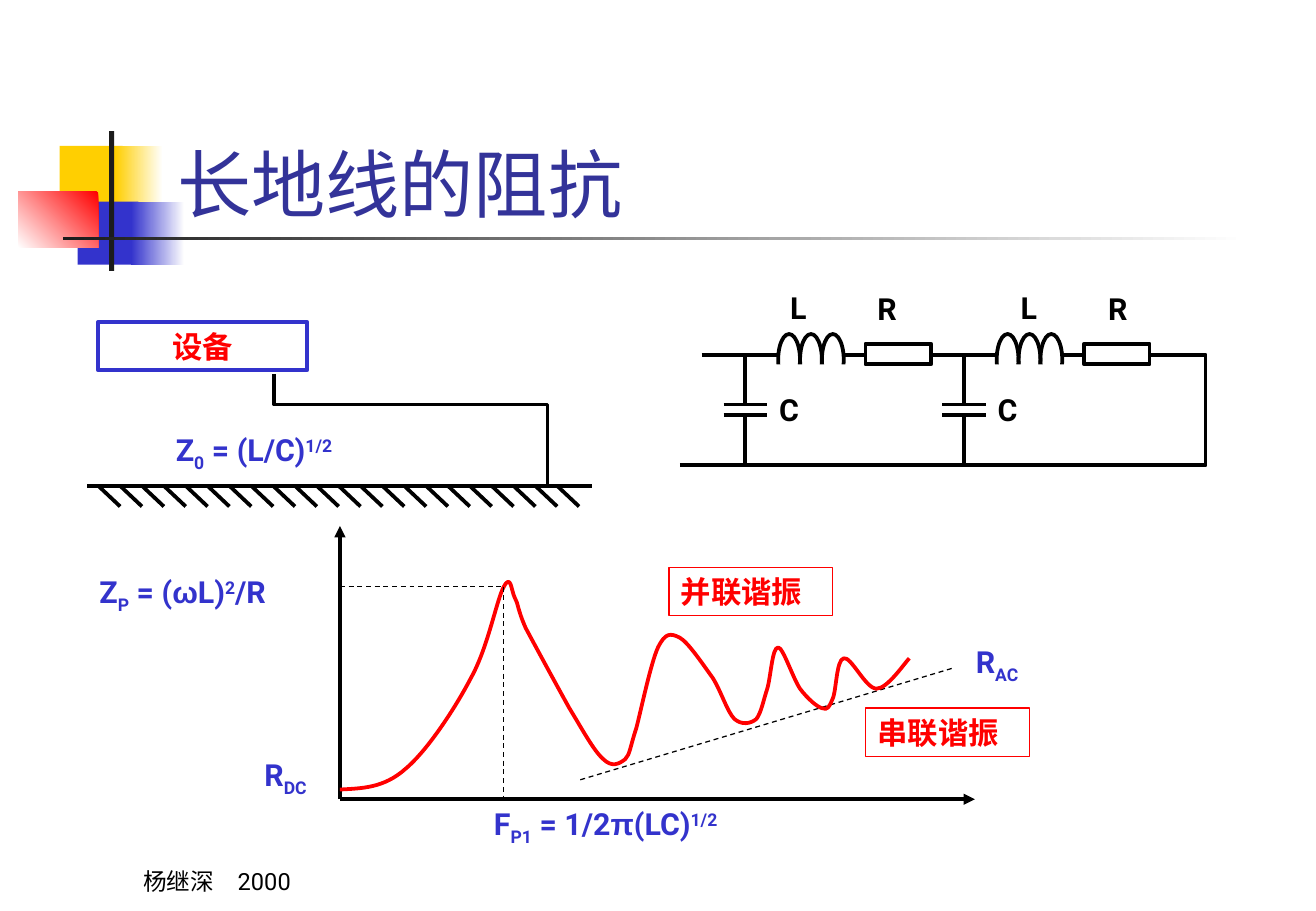
import dataclasses

import lxml.etree
import pptx
import pptx.dml.color
import pptx.enum.dml
import pptx.enum.shapes
import pptx.enum.text
import pptx.oxml.ns
import pptx.util

PX = 9144
BLACK = pptx.dml.color.RGBColor(0x00, 0x00, 0x00)
WHITE = pptx.dml.color.RGBColor(0xFF, 0xFF, 0xFF)
RED = pptx.dml.color.RGBColor(0xFF, 0x00, 0x00)
BLUE = pptx.dml.color.RGBColor(0x33, 0x33, 0xCC)
NAVY = pptx.dml.color.RGBColor(0x33, 0x33, 0x99)
YELLOW = pptx.dml.color.RGBColor(0xFF, 0xCF, 0x01)
CHARCOAL = pptx.dml.color.RGBColor(0x1C, 0x1C, 0x1C)
THICK, THIN = 2.25, 0.75
SUB, SUPER = -25, 30
RECT = pptx.enum.shapes.MSO_SHAPE.RECTANGLE
OVAL = pptx.enum.shapes.MSO_SHAPE.OVAL
ALIGN = pptx.enum.text.PP_ALIGN
ANCHOR = pptx.enum.text.MSO_ANCHOR
qn = pptx.oxml.ns.qn

RESONANCE_START = (0, 217)
RESONANCE_CURVE = [
    (18, 216), (36, 216), (54, 200), (72, 185), (95, 150), (108, 125),
    (122, 100), (129, 61), (135, 50), (141, 39), (141, 53), (144, 59),
    (147, 64), (146, 68), (153, 84), (161, 99), (179, 132), (189, 150),
    (200, 168), (209, 185), (217, 192), (224, 199), (230, 196), (235, 192),
    (239, 188), (239, 182), (244, 167), (248, 152), (256, 113), (262, 100),
    (268, 88), (272, 88), (280, 92), (287, 96), (299, 114), (307, 125),
    (314, 136), (319, 153), (325, 159), (331, 164), (338, 163), (343, 159),
    (347, 154), (349, 143), (352, 134), (355, 124), (356, 100), (361, 100),
    (365, 100), (373, 125), (379, 134), (385, 142), (393, 149), (397, 150),
    (402, 152), (403, 149), (406, 142), (409, 135), (409, 110), (415, 109),
    (421, 107), (433, 134), (442, 134), (451, 134), (465, 113), (469, 109),
]


@dataclasses.dataclass
class Region:
    """A box on the slide in which parts are placed by offset."""
    slide: object
    left: int
    top: int
    width: int
    height: int

    def place(self, x, y, width, height):
        """Turn a box within the region into slide lengths."""
        return [v * PX for v in (self.left + x, self.top + y, width, height)]

    def shape(self, kind, box, fill=None, line=None, weight=THICK):
        """Add a preset shape with an optional fill and outline."""
        part = self.slide.shapes.add_shape(kind, *self.place(*box))
        part.shadow.inherit = False
        paint(part, fill, line, weight)
        return part

    def fade(self, box, start, end, angle):
        """Add a rectangle with a two-colour gradient."""
        part = self.shape(RECT, box)
        part.fill.gradient()
        part.fill.gradient_angle = angle
        for stop, color in zip(part.fill.gradient_stops, (start, end)):
            stop.color.rgb = color

    def line(self, x1, y1, x2, y2, weight=THICK, dashed=False, arrow=False):
        """Add a straight black line."""
        start, end = self.place(x1, y1, 0, 0)[:2], self.place(x2, y2, 0, 0)[:2]
        wire = self.slide.shapes.add_connector(
            pptx.enum.shapes.MSO_CONNECTOR.STRAIGHT, *start, *end)
        wire.line.color.rgb = BLACK
        wire.line.width = pptx.util.Pt(weight)
        if dashed:
            wire.line.dash_style = pptx.enum.dml.MSO_LINE.DASH
        properties = wire.element.spPr
        if arrow:
            lxml.etree.SubElement(properties.find(qn("a:ln")), qn("a:tailEnd"), type="triangle")
        lxml.etree.SubElement(properties, qn("a:effectLst"))

    def trace(self, start, points, color):
        """Add an open outline through the points."""
        shifted = [(self.left + x, self.top + y) for x, y in [start, *points]]
        builder = self.slide.shapes.build_freeform(*shifted[0], scale=PX)
        builder.add_line_segments(shifted[1:], close=False)
        outline = builder.convert_to_shape()
        outline.shadow.inherit = False
        paint(outline, None, color, THICK)
        return outline

    def text(self, box, runs, color, size=18, bold=True, anchor=ANCHOR.TOP):
        """Add a text box."""
        label = self.slide.shapes.add_textbox(*self.place(*box))
        write(label, runs, color, size, bold, anchor)

    def boxed(self, box, words, line, weight, align=ALIGN.LEFT):
        """Add red words in an outlined rectangle."""
        write(self.shape(RECT, box, None, line, weight), [(words,)], RED, align=align)


def paint(part, fill, line, weight):
    """Set the fill and outline of a shape."""
    if fill is None:
        part.fill.background()
    else:
        part.fill.solid()
        part.fill.fore_color.rgb = fill
    if line is None:
        part.line.fill.background()
    else:
        part.line.color.rgb = line
        part.line.width = pptx.util.Pt(weight)


def write(holder, runs, color, size=18, bold=True, anchor=ANCHOR.TOP, align=ALIGN.LEFT):
    """Write runs of (words, baseline, font) as one paragraph."""
    frame = holder.text_frame
    frame.word_wrap = True
    frame.auto_size = pptx.enum.text.MSO_AUTO_SIZE.NONE
    frame.vertical_anchor = anchor
    paragraph = frame.paragraphs[0]
    paragraph.alignment = align
    for words, *style in runs:
        baseline, font = (*style, *(0, "Roboto")[len(style):])
        run = paragraph.add_run()
        run.text = words
        run.font.name = font
        run.font.size = pptx.util.Pt(size)
        run.font.bold = bold
        run.font.color.rgb = color
        if baseline:
            run.font._element.set("baseline", str(baseline * 1000))


def header(region):
    """Draw the coloured blocks and rules, and fill the title."""
    region.shape(RECT, (34, 12, 52, 52), YELLOW)
    region.fade((80, 12, 39, 52), WHITE, YELLOW, 180)
    region.shape(RECT, (49, 58, 50, 52), BLUE)
    region.fade((93, 58, 44, 52), WHITE, BLUE, 180)
    region.fade((0, 50, 66, 46), RED, WHITE, 225)
    region.shape(RECT, (75, 0, 4, 115), CHARCOAL)
    region.fade((37, 87, 975, 3), WHITE, CHARCOAL, 180)
    title = region.slide.shapes.title
    title.left, title.top, title.width, title.height = region.place(121, -41, 923, 125)
    write(title, [("长地线的阻抗",)], NAVY, 44, False, ANCHOR.BOTTOM)


def grounded_device(region):
    """Draw the device, its ground wire and the hatched ground."""
    ground = region.height - 17
    region.boxed((9, 0, 172, 40), "设备", BLUE, THICK, ALIGN.CENTER)
    region.line(0, ground, region.width, ground)
    region.trace((154, 43), [(154, 68), (379, 68), (379, ground)], BLACK)
    for hatch in range(22):
        x = 9 + 18 * hatch
        region.line(x, ground, x + 18, ground + 17)
    region.text((63, 85, 199, 44), [("Z",), ("0", SUB), (" = (L/C)",), ("1/2", SUPER)], BLUE)


def ladder_cell(region, lead, label_shift):
    """Draw one L, R, C section of the line model."""
    for turn in range(3):
        region.shape(OVAL, (27 + 18 * turn, 42, 18, 42), None, BLACK)
    region.shape(RECT, (0, 67, 108, 25), WHITE)
    region.shape(RECT, (99, 50, 54, 17), WHITE, BLACK)
    region.line(-lead, 59, 27, 59)
    region.line(81, 59, 99, 59)
    for plate, end in ((100, 59), (109, region.height)):
        region.line(-18, plate, 18, plate)
        region.line(0, plate, 0, end)
    region.text((27 + label_shift, 0, 54, 40), [("L",)], BLACK)
    region.text((99 + label_shift, 1, 54, 40), [("R",)], BLACK)
    region.text((18, 84, 54, 40), [("C",)], BLACK)


def ladder_circuit(region):
    """Draw the two sections and the return wire."""
    for section, (lead, label_shift) in enumerate(((36, 0), (27, 10))):
        cell = dataclasses.replace(region, left=region.left + 54 + 180 * section)
        ladder_cell(cell, lead, label_shift)
    base = region.height
    region.line(0, base, 343, base)
    region.trace((388, 59), [(433, 59), (433, base), (334, base)], BLACK)


def impedance_plot(region):
    """Draw impedance against frequency with its marks and formulas."""
    base = region.height
    region.line(0, base, 0, 0, arrow=True)
    region.line(0, base, region.width, base, arrow=True)
    region.line(198, 209, 505, 117, THIN, dashed=True)
    curve = region.trace(RESONANCE_START, RESONANCE_CURVE, RED)
    segments = list(curve.element.iter(qn("a:lnTo")))
    for first in range(0, len(segments), 3):
        bezier = lxml.etree.SubElement(segments[first].getparent(), qn("a:cubicBezTo"))
        for segment in segments[first:first + 3]:
            bezier.append(segment[0])
            segment.getparent().remove(segment)
    region.line(135, 50, 135, base, THIN, dashed=True)
    region.line(0, 50, 135, 50, THIN, dashed=True)
    region.text((117, base, 262, 44), [("F",), ("P1", SUB), (" = 1/2",), ("π", 0, "Arial"),
                                       ("(LC)",), ("1/2", SUPER)], BLUE)
    region.text((-208, 34, 208, 44), [("Z",), ("P", SUB), (" = (",), ("ω", 0, "Arial"),
                                      ("L)",), ("2", SUPER), ("/R",)], BLUE)
    region.text((514, 92, 72, 44), [("R",), ("AC", SUB)], BLUE)
    region.text((-72, 185, 72, 44), [("R",), ("DC", SUB)], BLUE)
    region.boxed((433, 150, 135, 40), "串联谐振", RED, THIN)
    region.boxed((271, 34, 135, 40), "并联谐振", RED, THIN)


def credit(region):
    """Write the author and year."""
    region.text((0, 0, region.width, region.height), [("杨继深　2000",)], BLACK, 14, False, ANCHOR.BOTTOM)


def main():
    """Build and save the slide."""
    deck = pptx.Presentation()
    deck.slide_width, deck.slide_height = 1084 * PX, 750 * PX
    slide = deck.slides.add_slide(deck.slide_layouts[5])
    header(Region(slide, 15, 108, 1012, 115))
    grounded_device(Region(slide, 72, 265, 416, 152))
    ladder_circuit(Region(slide, 560, 233, 433, 150))
    impedance_plot(Region(slide, 280, 433, 523, 225))
    credit(Region(slide, 108, 692, 226, 50))
    deck.save("out.pptx")


if __name__ == "__main__":
    main()
